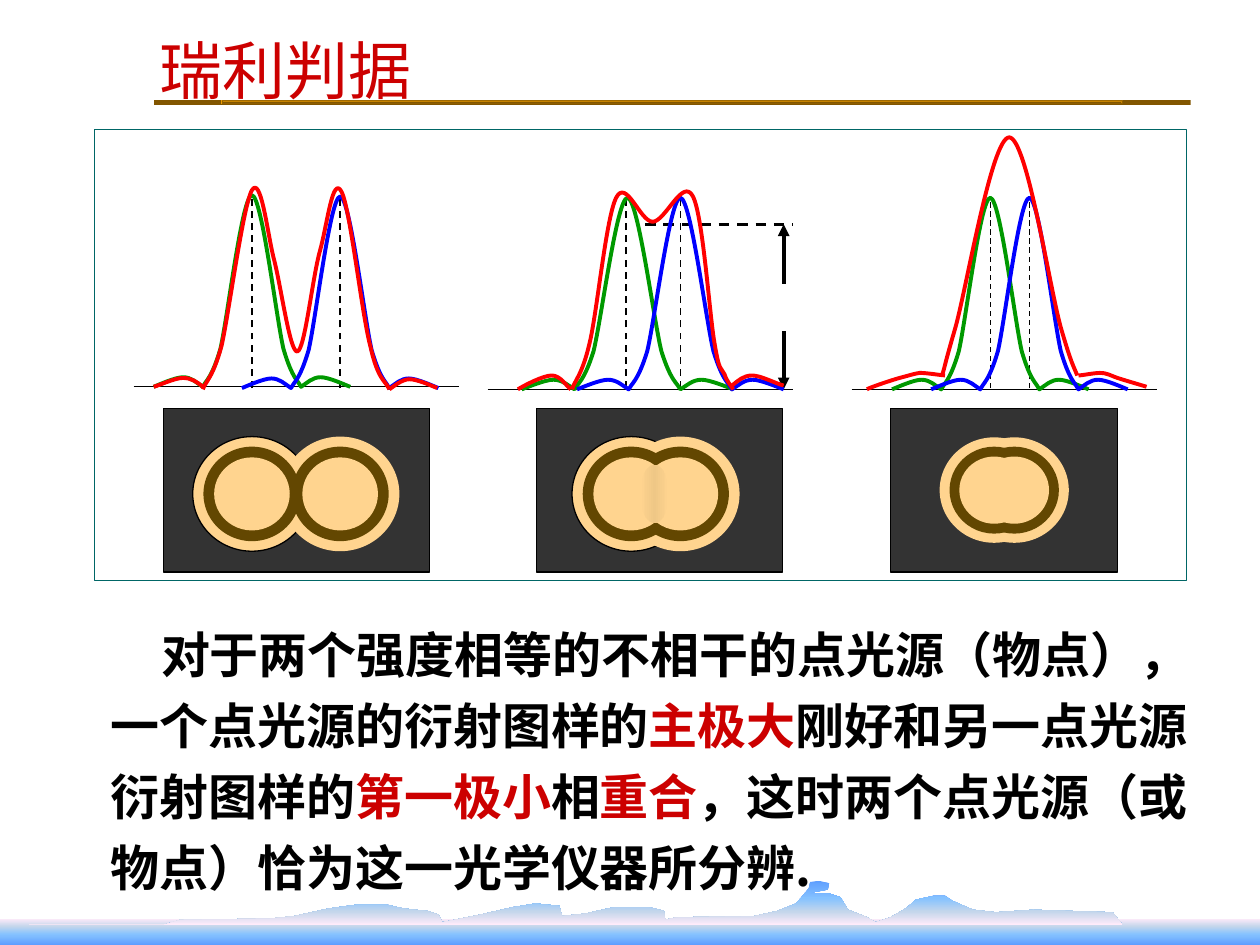
from pptx import Presentation
from pptx.dml.color import RGBColor
from pptx.enum.dml import MSO_LINE
from pptx.enum.shapes import MSO_CONNECTOR, MSO_SHAPE
from pptx.oxml import parse_xml
from pptx.oxml.ns import nsdecls, qn
from pptx.util import Cm, Pt

FONT = "Noto Sans CJK SC"
U = 2.54  # one layout unit in cm
BLACK = RGBColor(0x00, 0x00, 0x00)
WHITE = RGBColor(0xFF, 0xFF, 0xFF)
CRIMSON = RGBColor(0xCC, 0x00, 0x00)
RED = RGBColor(0xFF, 0x00, 0x00)
GREEN = RGBColor(0x00, 0x99, 0x00)
BLUE = RGBColor(0x00, 0x00, 0xFF)
TEAL = RGBColor(0x00, 0x66, 0x66)
DARK = RGBColor(0x33, 0x33, 0x33)
CREAM = RGBColor(0xFF, 0xD4, 0x8F)
BROWN = RGBColor(0x63, 0x47, 0x01)

prs = Presentation()
prs.slide_width, prs.slide_height = Cm(10 * U), Cm(7.5 * U)
s = prs.slides.add_slide(prs.slide_layouts[6])


def add_text(runs, x, y, w, h, size=28, bold=False, spacing=40.5, indent=0, top=0.05):
    tf = s.shapes.add_textbox(Cm(x * U), Cm(y * U), Cm(w * U), Cm(h * U)).text_frame
    tf.word_wrap = True
    tf.margin_top = Cm(top * U)
    p = tf.paragraphs[0]
    p.line_spacing = Pt(spacing)
    if indent:
        p._p.get_or_add_pPr().set("indent", str(Cm(indent * U)))
    for text, color in runs:
        r = p.add_run()
        r.text = text
        r.font.size, r.font.bold, r.font.name = Pt(size), bold, FONT
        r.font.color.rgb = color
        r._r.get_or_add_rPr().append(
            parse_xml(f'<a:ea {nsdecls("a")} typeface="{FONT}"/>'))


def add_outline(pts, color=None):
    """Draw cubic Bézier pieces as an open line, or a closed polygon without a colour."""
    emu = [(Cm(x * U), Cm(y * U)) for x, y in pts]
    fb = s.shapes.build_freeform(*emu[0], scale=1.0)
    fb.add_line_segments(emu[1:], close=color is None)
    sp = fb.convert_to_shape()
    sp.shadow.inherit = False
    if color is None:
        sp.line.fill.background()
        return sp
    # Every three straight pieces hold the control points of one Bézier piece
    pieces = list(sp.element.iter(qn("a:lnTo")))
    for i in range(0, len(pieces), 3):
        bezier = parse_xml(f'<a:cubicBezTo {nsdecls("a")}/>')
        pieces[i].addprevious(bezier)
        for piece in pieces[i:i + 3]:
            bezier.append(piece[0])
            piece.getparent().remove(piece)
    sp.fill.background()
    sp.line.color.rgb, sp.line.width = color, Pt(2.25)
    return sp


# Solid and gradient shapes: kind, left, top, width, height, fill, line colour
SKY = [(0, "FFEBFA"), (30, "C4D6EB"), (60, "85C2FF"), (100, "5E9EFF")]
HILLS = [(100 - pos, c) for pos, c in reversed(SKY)]
GOLD = [(pos, ("825600", "FFA800")[i % 2])
        for i, pos in enumerate((0, 13, 28, 43, 58, 72, 87))] + [(100, "825600")]
OVERLAP = [(0, "FFD48F"), (50, "EFC786"), (100, "FFD48F")]
RECT, OVAL = MSO_SHAPE.RECTANGLE, MSO_SHAPE.OVAL
shapes = [(RECT, 1.22, 0.79, 8.23, 0.04, GOLD, None),
          (RECT, 0, 7.29, 10, 0.21, SKY, None),
          (RECT, 0.75, 1.03, 8.67, 3.58, WHITE, TEAL)]

# Airy discs: screen left and width, disc centres, centre height, scale, outline
screens = [(1.3, 2.11, (2, 2.7), 3.92, 1, BLACK),
           (4.26, 1.95, (5.01, 5.4), 3.92, 1, BLACK),
           (7.07, 1.8, (8.05, 7.89), 3.89, 0.92, None)]
for left, width, centres, cy, k, edge in screens:
    shapes.append((RECT, left, 3.24, width, 1.3, DARK, BLACK))
    for dw, dh, color in ((0.94, 0.91, CREAM), (0.77, 0.75, BROWN), (0.6, 0.58, CREAM)):
        for i, cx in enumerate(centres):
            outline = edge if dw == 0.94 and i == 0 else None
            shapes.append((OVAL, cx - dw * k / 2, cy - dh * k / 2, dw * k, dh * k,
                           color, outline))
shapes.append((OVAL, 5.08, 3.69, 0.23, 0.46, OVERLAP, None))

gradients = []
for kind, x, y, w, h, fill, edge in shapes:
    sp = s.shapes.add_shape(kind, Cm(x * U), Cm(y * U), Cm(w * U), Cm(h * U))
    sp.shadow.inherit = False
    if isinstance(fill, RGBColor):
        sp.fill.solid()
        sp.fill.fore_color.rgb = fill
    else:
        gradients.append((sp, fill))
    if edge is None:
        sp.line.fill.background()
    else:
        sp.line.color.rgb, sp.line.width = edge, Pt(0.75)

# Hills along the bottom
hills = add_outline([
    (0.23, 7.34), (1.3, 7.34), (1.43, 7.3), (2.14, 7.29), (2.34, 7.27), (2.61, 7.21),
    (2.83, 7.18), (3.07, 7.18), (3.2, 7.21), (3.39, 7.23), (3.48, 7.26), (3.51, 7.32),
    (3.81, 7.26), (4.07, 7.2), (4.25, 7.17), (4.44, 7.19), (4.46, 7.27), (4.65, 7.25),
    (4.87, 7.2), (5.15, 7.2), (5.27, 7.23), (5.28, 7.3), (5.37, 7.28), (5.99, 7.27),
    (6.17, 7.23), (6.32, 7.17), (6.42, 7.05), (6.43, 7), (6.5, 6.99), (6.58, 7.01),
    (6.57, 7.06), (6.41, 7.09), (6.58, 7.09), (6.67, 7.12), (6.73, 7.22), (6.88, 7.28),
    (6.95, 7.32), (7.07, 7.28), (7.19, 7.21), (7.27, 7.14), (7.41, 7.11), (7.5, 7.11),
    (7.56, 7.15), (7.72, 7.22), (7.9, 7.24), (8.2, 7.22), (8.83, 7.24), (8.91, 7.34)])
gradients.append((hills, HILLS))

for sp, stops in gradients:
    if stops is GOLD:
        way = '<a:path path="shape"><a:fillToRect l="50000" t="50000" r="50000" b="50000"/></a:path>'
    else:
        way = f'<a:lin ang="{0 if stops is OVERLAP else 5400000}" scaled="0"/>'
    gs = "".join(f'<a:gs pos="{pos * 1000}"><a:srgbClr val="{c}"/></a:gs>' for pos, c in stops)
    sp.fill.background()
    spPr = sp.element.spPr
    spPr.replace(spPr.find(qn("a:noFill")), parse_xml(
        f'<a:gradFill {nsdecls("a")} rotWithShape="1"><a:gsLst>{gs}</a:gsLst>{way}</a:gradFill>'))

# Axes, peak markers and the dip height: start, end, width, dashed, arrow
lines = [(a, y, b, y, 0.75, False, False) for a, b, y in
         ((1.06, 3.64, 3.07), (3.87, 6.29, 3.09), (6.76, 9.18, 3.09))]
lines += [(x, 3.08, x, 1.56, w, True, False) for x, w in
          ((2, 1), (2.7, 1), (4.97, 1), (5.4, 1), (7.86, 0.75), (8.17, 0.75))]
lines += [(5.12, 1.78, 6.29, 1.78, 1.5, True, False),
          (6.22, 1.78, 6.22, 2.25, 2.25, False, True),
          (6.22, 3.09, 6.22, 2.63, 2.25, False, True)]
for x1, y1, x2, y2, width, dashed, arrow in lines:
    c = s.shapes.add_connector(MSO_CONNECTOR.STRAIGHT, Cm(x1 * U), Cm(y1 * U),
                               Cm(x2 * U), Cm(y2 * U))
    c.line.color.rgb, c.line.width = BLACK, Pt(width)
    if dashed:
        c.line.dash_style = MSO_LINE.DASH
    if arrow:
        c.line._get_or_add_ln().append(parse_xml(f'<a:headEnd {nsdecls("a")} type="triangle"/>'))
    c.element.spPr.append(parse_xml(f'<a:effectLst {nsdecls("a")}/>'))

# Single-source patterns, in half-widths and peak heights from the centre
left_half = [(-2, 0), (-1.9, 0.01), (-1.56, 0.05), (-1.4, 0.05), (-1.23, 0.05), (-1.12, 0.02),
             (-1, 0), (-0.95, 0.03), (-0.82, 0.04), (-0.64, 0.2), (-0.49, 0.37), (-0.2, 1),
             (0, 1)]
pattern = left_half + [(-x, y) for x, y in reversed(left_half[:-1])]
for cx, half, base, color in ((2, 0.39, 3.07, GREEN), (2.7, 0.39, 3.08, BLUE),
                              (4.98, 0.42, 3.09, GREEN), (5.4, 0.41, 3.09, BLUE),
                              (7.86, 0.39, 3.09, GREEN), (8.17, 0.39, 3.09, BLUE)):
    add_outline([(cx + half * x, base - 1.52 * y) for x, y in pattern], color)

# Combined intensity of both sources
for pts in (
    [(1.61, 3.07), (1.56, 3.03), (1.52, 3), (1.45, 3), (1.39, 3), (1.26, 3.06), (1.22, 3.07)],
    [(1.61, 3.09), (1.63, 3.03), (1.69, 3), (1.76, 2.74), (1.82, 2.47), (1.93, 1.63),
     (2, 1.51), (2.07, 1.39), (2.12, 1.83), (2.17, 2.04), (2.23, 2.26), (2.3, 2.8),
     (2.36, 2.79), (2.42, 2.78), (2.48, 2.2), (2.54, 1.99), (2.6, 1.77), (2.64, 1.39),
     (2.71, 1.52), (2.78, 1.65), (2.87, 2.49), (2.94, 2.75), (3, 3.02), (3.06, 3.02),
     (3.09, 3.09)],
    [(3.09, 3.09), (3.12, 3.07), (3.19, 3.01), (3.25, 3.01), (3.31, 3.01), (3.42, 3.06),
     (3.47, 3.08)],
    [(5.81, 3.06), (5.86, 3.02), (5.9, 2.98), (5.97, 2.98), (6.04, 2.98), (6.17, 3.05),
     (6.22, 3.06)],
    [(4.53, 3.09), (4.5, 3.07), (4.45, 2.98), (4.38, 2.98), (4.31, 2.98), (4.16, 3.06),
     (4.11, 3.09)],
    [(4.54, 3.09), (4.56, 3.02), (4.62, 2.98), (4.68, 2.72), (4.74, 2.47), (4.81, 1.73),
     (4.89, 1.57), (4.97, 1.41), (5.08, 1.76), (5.18, 1.76), (5.28, 1.76), (5.42, 1.4),
     (5.5, 1.56), (5.58, 1.72), (5.63, 2.49), (5.67, 2.72), (5.71, 2.96), (5.72, 2.91),
     (5.75, 2.97), (5.77, 3.03), (5.8, 3.06), (5.82, 3.09)],
    [(7.48, 2.97), (7.5, 2.91), (7.49, 2.92), (7.58, 2.61), (7.67, 2.3), (7.87, 1.09),
     (8.01, 1.09), (8.15, 1.09), (8.33, 2.28), (8.42, 2.6), (8.51, 2.91), (8.52, 2.9),
     (8.55, 2.98)],
    [(8.56, 2.98), (8.59, 2.98), (8.68, 2.96), (8.73, 2.96), (8.79, 2.96), (8.81, 2.98),
     (8.87, 3), (8.93, 3.02), (9.07, 3.06), (9.1, 3.07)],
    [(7.5, 2.98), (7.47, 2.98), (7.36, 2.96), (7.3, 2.96), (7.24, 2.97), (7.22, 2.98),
     (7.14, 3), (7.07, 3.02), (6.92, 3.07), (6.88, 3.09)],
):
    add_outline(pts, RED)

# Statement and title
add_text([("对于两个强度相等的不相干的点光源（物点），一个点光源的衍射图样的", BLACK),
          ("主极大", CRIMSON), ("刚好和另一点光源衍射图样的", BLACK),
          ("第一极小", CRIMSON), ("相", BLACK), ("重合", CRIMSON),
          ("，这时两个点光源（或物点）恰为这一光学仪器所分辨.", BLACK)],
         0.78, 4.69, 8.99, 2.39, bold=True, indent=0.4, top=0.17)
add_text([("瑞利判据", CRIMSON)], 1.17, 0.16, 3.5, 0.7, size=36, spacing=46)

prs.save("out.pptx")
